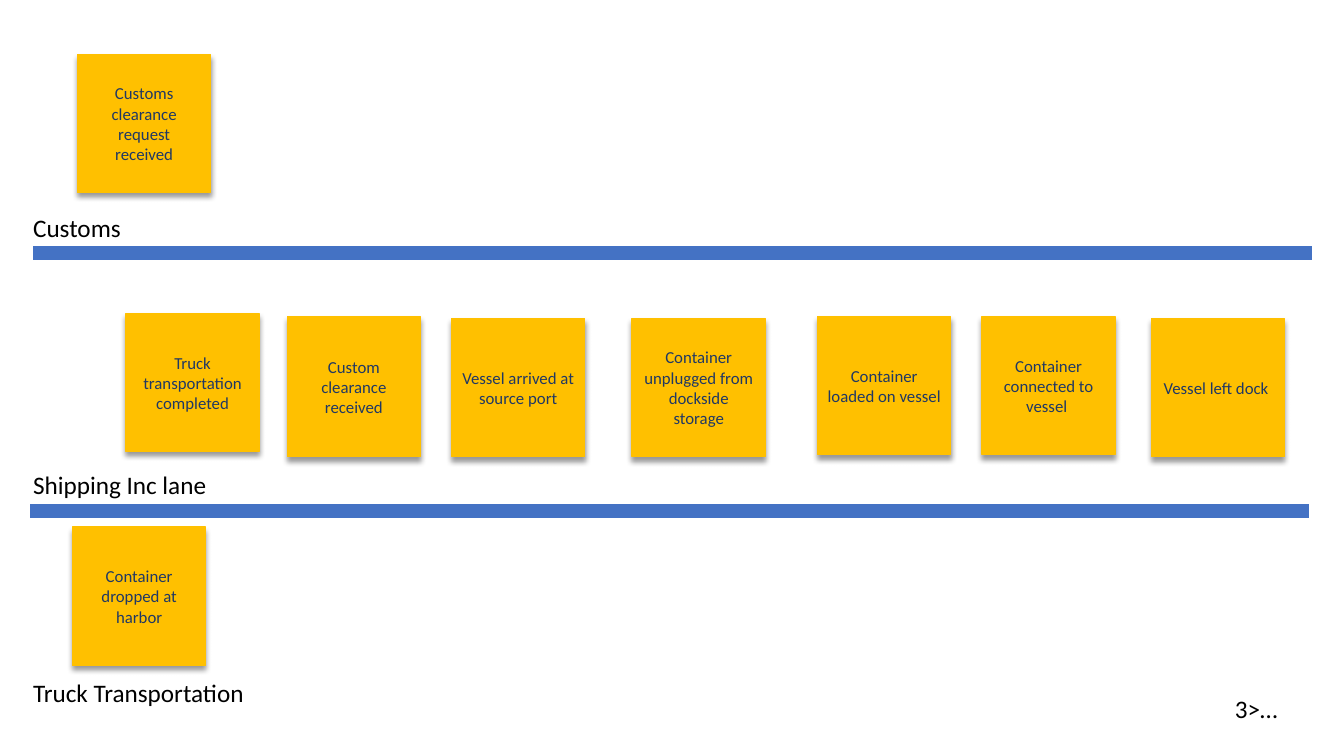
from lxml import etree
from pptx import Presentation
from pptx import util as u
from pptx.dml.color import RGBColor
from pptx.enum import shapes, text
from pptx.oxml import ns, parse_xml

PX = 9144
SLIDE_SIZE = (1333, 750)
NOTE_WIDTH, NOTE_HEIGHT = 132, 137
LANE_LENGTH = 1268
LABEL_HEIGHT = 40

COLORS = {"note": "FFC000", "note_text": "203864", "lane": "4472C4",
          "label": "000000", "shadow": "000000"}
FORMATS = {
    "note": {"name": "Calibri", "size": u.Pt(12)},
    "label": {"name": "Calibri", "size": u.Pt(18)},
}

LANES = [(33, 251), (30, 507)]
LABELS = [
    ("Customs", 23, 206, 108),
    ("Shipping Inc lane", 23, 461, 194),
    ("Truck Transportation", 23, 667, 231),
    ("3>…", 1215, 683, 63),
]
NOTES = [
    ("Customs clearance request received", 77, 54),
    ("Truck transportation completed", 125, 311),
    ("Custom clearance received", 285, 314, 139),
    ("Vessel arrived at source port", 448, 316),
    ("Container unplugged from dockside storage", 627, 316),
    ("Container loaded on vessel", 811, 314),
    ("Container connected to vessel ", 974, 314),
    ("Vessel left dock ", 1142, 316),
    ("Container dropped at harbor", 72, 523),
]

SHADOW = (
    f'<a:effectLst {ns.nsdecls("a")}>'
    f'<a:outerShdw blurRad="{u.Pt(4)}" dist="{u.Pt(3)}" dir="5400000" '
    'algn="ctr" rotWithShape="0">'
    f'<a:srgbClr val="{COLORS["shadow"]}"><a:alpha val="40000"/></a:srgbClr>'
    '</a:outerShdw></a:effectLst>'
)


def px(*lengths):
    return [u.Emu(length * PX) for length in lengths]


def color(name):
    return RGBColor.from_string(COLORS[name])


def write(shape, words, style, color_name):
    paragraph = shape.text_frame.paragraphs[0]
    run = paragraph.add_run()
    run.text = words
    for attribute, value in FORMATS[style].items():
        setattr(run.font, attribute, value)
    run.font.color.rgb = color(color_name)
    return paragraph


def add_lane(slide, left, top):
    line = slide.shapes.add_connector(
        shapes.MSO_CONNECTOR.STRAIGHT, *px(left, top, left + LANE_LENGTH, top))
    line.line.color.rgb = color("lane")
    line.line.width = u.Pt(10)
    etree.SubElement(line._element.spPr, ns.qn("a:effectLst"))


def add_label(slide, words, left, top, width):
    box = slide.shapes.add_textbox(*px(left, top, width, LABEL_HEIGHT))
    box.text_frame.word_wrap = False
    box.text_frame.auto_size = text.MSO_AUTO_SIZE.SHAPE_TO_FIT_TEXT
    write(box, words, "label", "label")


def add_note(slide, words, left, top, height=NOTE_HEIGHT):
    note = slide.shapes.add_shape(
        shapes.MSO_SHAPE.RECTANGLE, *px(left, top, NOTE_WIDTH, height))
    note.fill.solid()
    note.fill.fore_color.rgb = color("note")
    note.line.color.rgb = color("note")
    note.line.width = u.Pt(1)
    note._element.spPr.append(parse_xml(SHADOW))
    note.text_frame.word_wrap = True
    note.text_frame.vertical_anchor = text.MSO_ANCHOR.MIDDLE
    write(note, words, "note", "note_text").alignment = text.PP_ALIGN.CENTER


def main():
    presentation = Presentation()
    presentation.slide_width, presentation.slide_height = px(*SLIDE_SIZE)
    slide = presentation.slides.add_slide(presentation.slide_layouts[6])
    for add, items in ((add_lane, LANES), (add_label, LABELS), (add_note, NOTES)):
        for item in items:
            add(slide, *item)
    presentation.save("out.pptx")


if __name__ == "__main__":
    main()
